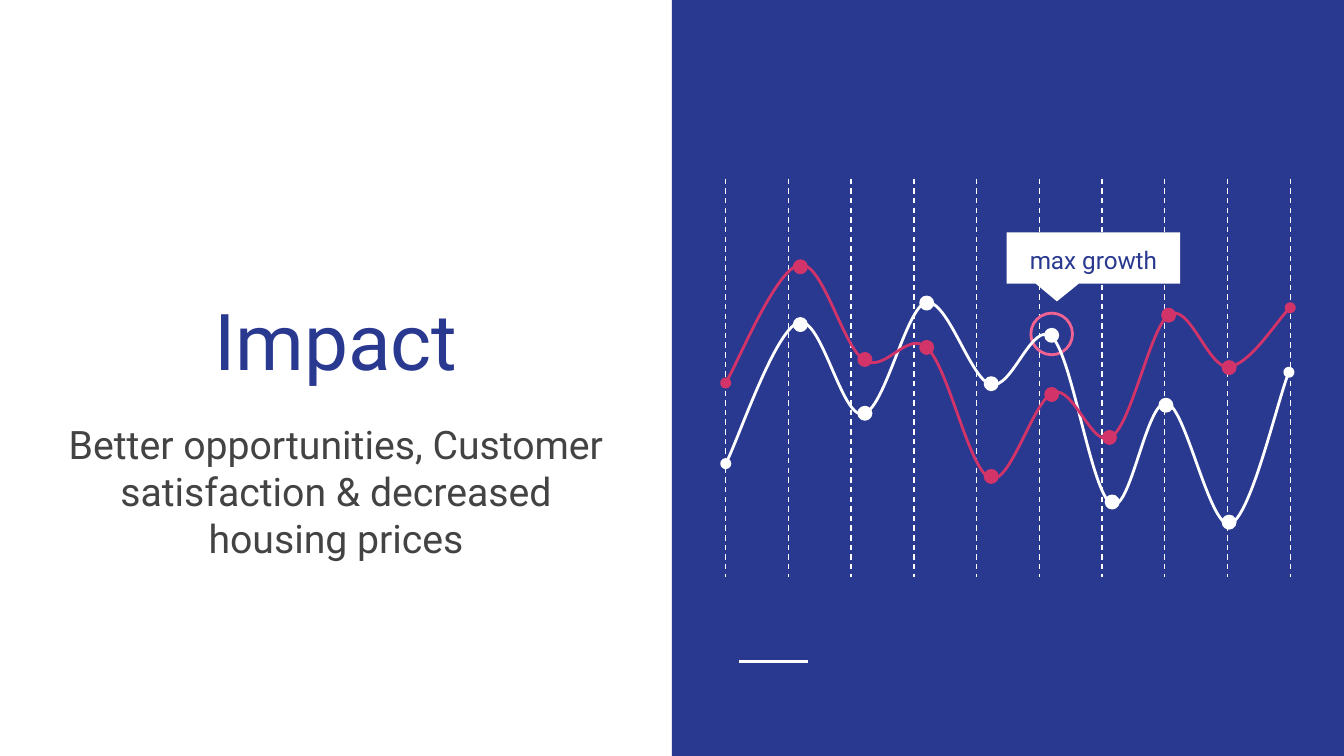
from lxml import etree
from pptx import Presentation
from pptx.dml.color import RGBColor
from pptx.enum.dml import MSO_LINE
from pptx.enum.shapes import MSO_CONNECTOR, MSO_SHAPE
from pptx.enum.text import MSO_ANCHOR, PP_ALIGN
from pptx.oxml.ns import qn
from pptx.util import Inches, Pt

RECT, OVAL = MSO_SHAPE.RECTANGLE, MSO_SHAPE.OVAL
CALLOUT = MSO_SHAPE.ROUNDED_RECTANGULAR_CALLOUT
STRAIGHT, DASH = MSO_CONNECTOR.STRAIGHT, MSO_LINE.DASH
TOP, MIDDLE, BOTTOM = MSO_ANCHOR.TOP, MSO_ANCHOR.MIDDLE, MSO_ANCHOR.BOTTOM
CENTER = PP_ALIGN.CENTER

WHITE = RGBColor(0xFF, 0xFF, 0xFF)
NAVY = RGBColor(0x2A, 0x39, 0x90)
GREY = RGBColor(0x43, 0x43, 0x43)
CRIMSON = RGBColor(0xD2, 0x33, 0x69)
PINK = RGBColor(0xF0, 0x62, 0x92)

# The grid has 100 columns and 56.25 rows of square cells.
COLS, ROWS = 100, 56.25
CELL = Inches(0.1)
GUIDES, GUIDE_LEFT, GUIDE_RIGHT = 10, 54, 96
GUIDE_TOP, GUIDE_BOTTOM = 13.3, 42.9
DOT = 0.9

# Each curve: a start point, then two control points and an end point per segment.
WHITE_CURVE = [
    (54, 34.5),
    (54.9, 32.8), (57.7, 24.6), (59.4, 24),
    (61.1, 23.4), (62.6, 31.1), (64.2, 30.8),
    (65.8, 30.6), (67.4, 22.9), (68.9, 22.5),
    (70.5, 22.2), (72.2, 28.2), (73.7, 28.6),
    (75.3, 29.1), (76.8, 23.7), (78.3, 25.1),
    (79.8, 26.6), (81.2, 36.7), (82.7, 37.5),
    (84.1, 38.3), (85.3, 29.7), (86.8, 30),
    (88.2, 30.2), (90, 39.3), (91.5, 39),
    (93, 38.6), (95.1, 29.6), (95.9, 27.7),
]
CRIMSON_CURVE = [
    (54, 28.5),
    (54.9, 27), (57.8, 20), (59.5, 19.7),
    (61.2, 19.4), (62.7, 25.8), (64.3, 26.8),
    (65.9, 27.8), (67.5, 24.5), (69, 25.9),
    (70.6, 27.4), (72.1, 35), (73.7, 35.6),
    (75.2, 36.1), (76.9, 29.7), (78.4, 29.2),
    (79.9, 28.7), (81.3, 33.5), (82.7, 32.5),
    (84.2, 31.6), (85.6, 24.3), (87, 23.4),
    (88.5, 22.5), (89.9, 27.4), (91.4, 27.3),
    (92.9, 27.2), (95.2, 23.6), (96, 22.9),
]
# Top left corners of the dots.
WHITE_DOTS = [(91, 38.4), (86.3, 29.7), (82.3, 36.9), (77.8, 24.5),
              (73.3, 28.1), (68.5, 22.1), (63.9, 30.3), (59.1, 23.7)]
CRIMSON_DOTS = [(59.1, 19.4), (63.9, 26.3), (68.5, 25.4), (73.3, 35),
                (77.8, 28.9), (82.1, 32.1), (86.5, 23), (91, 26.9)]


def cells(*values):
    return [round(v * CELL) for v in values]


class Deck:
    font = "Roboto"
    stroke = 1.5

    def __init__(self, prs):
        self.slide = prs.slides.add_slide(prs.slide_layouts[6])
        self.shapes = self.slide.shapes

    def group(self):
        return self.shapes.add_group_shape().shapes

    def shape(self, kind, box, fill=None, line=None, into=None):
        sp = (into or self.shapes).add_shape(kind, *cells(*box))
        sp.shadow.inherit = False
        if fill is None:
            sp.fill.background()
        else:
            sp.fill.solid()
            sp.fill.fore_color.rgb = fill
        if line is None:
            sp.line.fill.background()
        else:
            sp.line.color.rgb = line
            sp.line.width = Pt(self.stroke)
        return sp

    def line(self, start, end, width, dash=None, into=None):
        c = (into or self.shapes).add_connector(STRAIGHT, *cells(*start, *end))
        c.line.color.rgb = WHITE
        c.line.width = Pt(width)
        if dash is not None:
            c.line.dash_style = dash
        etree.SubElement(c._element.spPr, qn("a:effectLst"))

    def curve(self, points, dots, color):
        """Draw a Bezier curve with round ends and the dots along it."""
        into = self.group()
        points = [cells(*p) for p in points]
        fb = into.build_freeform(*points[0])
        fb.add_line_segments(points[1:], close=False)
        sp = fb.convert_to_shape()
        sp.shadow.inherit = False
        sp.fill.background()
        sp.line.color.rgb = color
        sp.line.width = Pt(self.stroke)
        for end in ("a:headEnd", "a:tailEnd"):
            etree.SubElement(sp.line._get_or_add_ln(), qn(end), type="oval")

        outline = next(sp._element.iter(qn("a:path")))
        steps = outline.findall(qn("a:lnTo"))
        for i in range(0, len(steps), 3):
            bezier = etree.SubElement(outline, qn("a:cubicBezTo"))
            for step in steps[i:i + 3]:
                bezier.append(step[0])
                outline.remove(step)

        for corner in dots:
            self.shape(OVAL, (*corner, DOT, DOT), color, color, into)

    def text(self, words, box, size, color, anchor=TOP, spacing=None):
        tf = self.shapes.add_textbox(*cells(*box)).text_frame
        tf.word_wrap = True
        tf.vertical_anchor = anchor
        tf.margin_left = tf.margin_right = CELL
        tf.margin_top = tf.margin_bottom = CELL
        p = tf.paragraphs[0]
        p.alignment = CENTER
        if spacing:
            p.line_spacing = spacing
        r = p.add_run()
        r.text = words
        r.font.name = self.font
        r.font.size = Pt(size)
        r.font.color.rgb = color


def main():
    prs = Presentation()
    prs.slide_width, prs.slide_height = cells(COLS, ROWS)
    s = Deck(prs)

    s.shape(RECT, (COLS / 2, 0, COLS / 2, ROWS), NAVY)
    s.line((55, 49.2), (60.1, 49.2), s.stroke)

    guides = s.group()
    gap = (GUIDE_RIGHT - GUIDE_LEFT) / (GUIDES - 1)
    for i in range(GUIDES):
        x = GUIDE_LEFT + i * gap
        s.line((x, GUIDE_TOP), (x, GUIDE_BOTTOM), 0.75, DASH, guides)

    s.shape(OVAL, (76.7, 23.3, 3.1, 3.1), line=PINK)
    s.text("Impact", (2.9, 12.6, 44.2, 17.1), 42, NAVY, BOTTOM)
    s.text("Better opportunities, Customer satisfaction & decreased housing prices",
           (2.9, 30.3, 44.2, 13.9), 21, GREY)

    s.curve(WHITE_CURVE, WHITE_DOTS, WHITE)
    callout = s.shape(CALLOUT, (74.9, 17.3, 12.9, 3.8), WHITE)
    for i, value in enumerate((-0.21, 0.85, 0)):
        callout.adjustments[i] = value
    s.curve(CRIMSON_CURVE, CRIMSON_DOTS, CRIMSON)
    s.text("max growth", (74.9, 17.6, 12.9, 3.1), 13, NAVY, MIDDLE, 1.15)

    prs.save("out.pptx")


if __name__ == "__main__":
    main()
